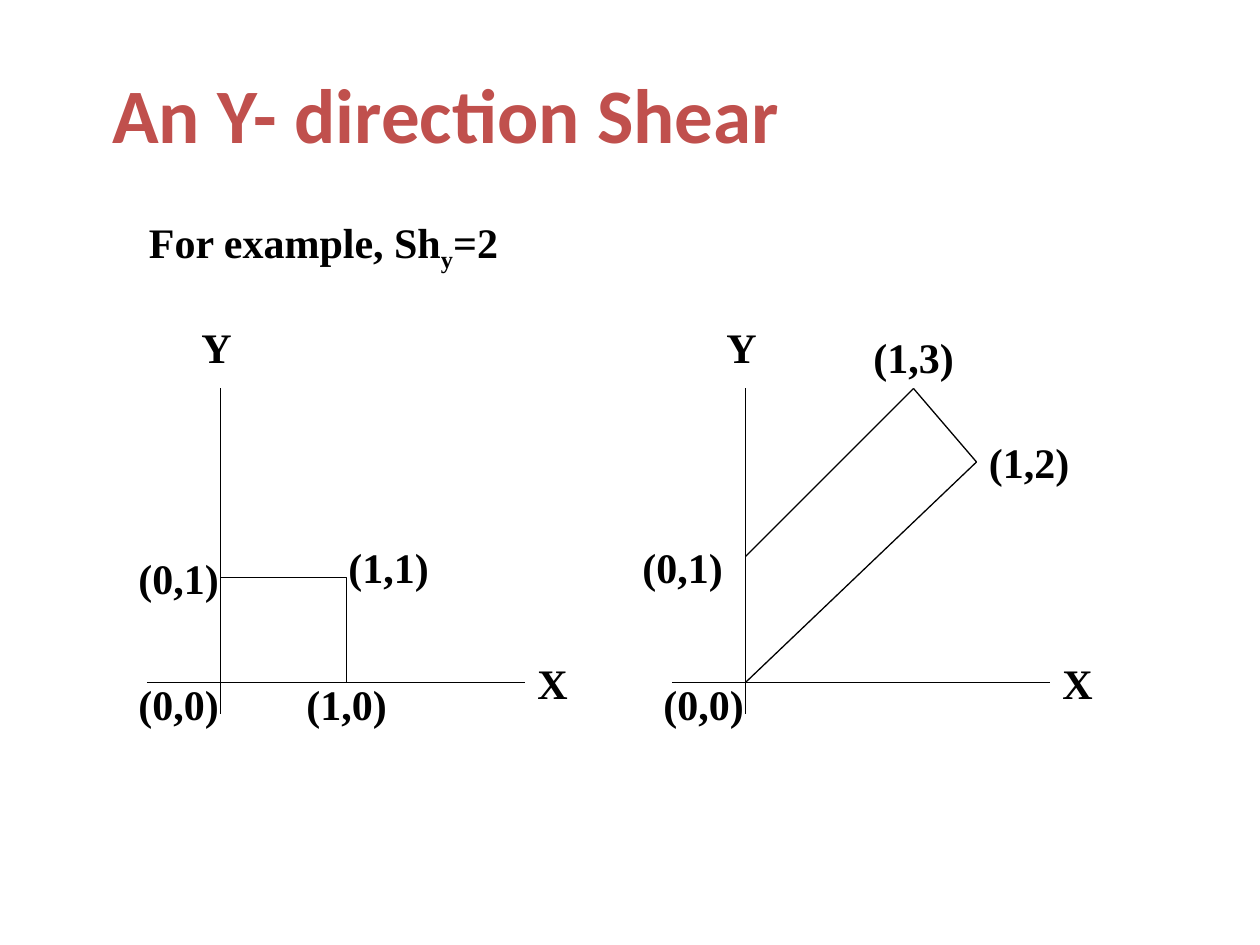
"""Build a slide that shows a unit square before and after a Y-direction shear."""
from lxml import etree
from pptx import Presentation
from pptx.dml.color import RGBColor
from pptx.enum.shapes import MSO_CONNECTOR as Connector, MSO_SHAPE as Shape
from pptx.enum.text import MSO_AUTO_SIZE as AutoSize, PP_ALIGN as Align
from pptx.oxml.ns import qn
from pptx.util import Pt

BLACK, RED = "000000", "C0504D"
TITLE = {"name": "Calibri", "size": Pt(44), "bold": True}
LABEL = {"name": "Times New Roman", "size": Pt(24), "bold": True}


def color(value):
    return RGBColor.from_string(value)


def add_text(page, texts, left, top, width, height=36.72, style=LABEL, ink=BLACK):
    box = page.shapes.add_textbox(Pt(left), Pt(top), Pt(width), Pt(height))
    box.text_frame.word_wrap = True
    box.text_frame.auto_size = AutoSize.SHAPE_TO_FIT_TEXT
    para = box.text_frame.paragraphs[0]
    for text in texts:
        span = para.add_run()
        span.text = text
        for key, value in style.items():
            setattr(span.font, key, value)
        span.font.color.rgb = color(ink)
    return box


deck = Presentation()
deck.slide_width, deck.slide_height = Pt(720), Pt(540)
page = deck.slides.add_slide(deck.slide_layouts[6])

title = add_text(page, ["An Y- direction Shear"], 0, 36, 510, 57.6, TITLE, RED)
title.text_frame.paragraphs[0].alignment = Align.CENTER
margins = {"margin_left": 5, "margin_right": 5, "margin_top": 2.2, "margin_bottom": 2.2}
for side, gap in margins.items():
    setattr(title.text_frame, side, Pt(gap))

example = add_text(page, ["For example, Sh", "y", "=2"], 78, 120, 270)
subscript = example.text_frame.paragraphs[0].runs[1]
subscript.font._element.set("baseline", "-25000")

square = page.shapes.add_shape(Shape.RECTANGLE, Pt(126), Pt(330), Pt(72), Pt(60))
square.shadow.inherit = False
square.fill.background()
square.line.color.rgb = color(BLACK)
square.line.width = Pt(0.75)

lines = [
    (426, 318, 522, 222),
    (522, 222, 558, 264),
    (426, 390, 558, 264),
]
for shift in (0, 300):
    lines.append((126 + shift, 222, 126 + shift, 408))
    lines.append((84 + shift, 390, 300 + shift, 390))
    add_text(page, ["Y"], 108 + shift, 180, 36)
    add_text(page, ["X"], 300 + shift, 372, 36)
    add_text(page, ["(0,0)"], 72 + shift, 384, 66)

for line in lines:
    edge = page.shapes.add_connector(Connector.STRAIGHT, *map(Pt, line))
    edge.line.color.rgb = color(BLACK)
    edge.line.width = Pt(0.75)
    etree.SubElement(edge._element.spPr, qn("a:effectLst"))

points = [
    ("(0,1)", 72, 312),
    ("(1,1)", 192, 306),
    ("(1,0)", 168, 384),
    ("(0,1)", 360, 306),
    ("(1,3)", 492, 186),
    ("(1,2)", 558, 246),
]
for text, left, top in points:
    add_text(page, [text], left, top, 66)

deck.save("out.pptx")
